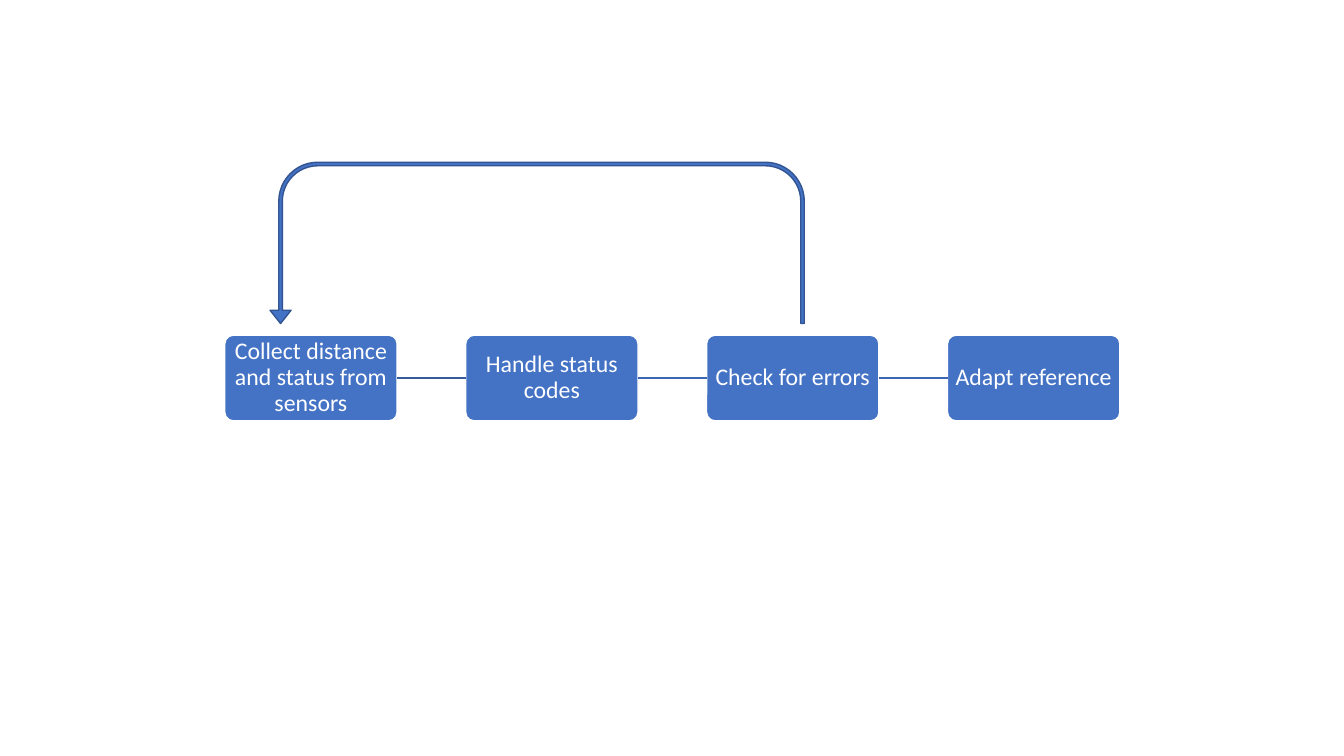
import dataclasses
import typing

import pptx
import pptx.dml.color
import pptx.enum.shapes
import pptx.enum.text
import pptx.oxml.ns
import pptx.oxml.xmlchemy
import pptx.util
from lxml import etree

Pt = pptx.util.Pt
Rgb = pptx.dml.color.RGBColor
Shapes = pptx.enum.shapes.MSO_SHAPE


@dataclasses.dataclass(frozen=True)
class Theme:
    fill: str = "4472C4"
    edge: str = "FFFFFF"
    text: str = "FFFFFF"
    loop_edge: str = "325491"
    font: str = "Calibri"
    size: float = 17
    line: float = 1


@dataclasses.dataclass(frozen=True)
class Block:
    preset: typing.Any
    left: float
    top: float
    width: float
    height: float
    edge: str
    adjustments: tuple[float, ...]
    label: str = ""


THEME = Theme()
STEPS = (
    "Collect distance and status from sensors",
    "Handle status codes",
    "Check for errors",
    "Adapt reference",
)
LINK_COLORS = ("365B9D", "3E67B2", "3E67B2")
STEP_LEFT, STEP_TOP, STEP_WIDTH, STEP_HEIGHT = 160.56, 239.4, 123.12, 61.2
STEP_PITCH = 172.08


def apply_format(target: typing.Any, values: dict[str, typing.Any]) -> None:
    for name, value in values.items():
        setattr(target, name, value)


def draw_block(slide: typing.Any, block: Block) -> typing.Any:
    shape = slide.shapes.add_shape(
        block.preset, Pt(block.left), Pt(block.top), Pt(block.width), Pt(block.height)
    )
    shape.shadow.inherit = False
    for index, value in enumerate(block.adjustments):
        shape.adjustments[index] = value
    shape.fill.solid()
    shape.fill.fore_color.rgb = Rgb.from_string(THEME.fill)
    shape.line.color.rgb = Rgb.from_string(block.edge)
    shape.line.width = Pt(THEME.line)
    if block.label:
        write_label(shape.text_frame, block.label)
    return shape


def write_label(frame: typing.Any, label: str) -> None:
    margins = ("margin_left", "margin_right", "margin_top", "margin_bottom")
    apply_format(frame, dict.fromkeys(margins, Pt(0.72)))
    apply_format(frame, {
        "word_wrap": True,
        "vertical_anchor": pptx.enum.text.MSO_ANCHOR.MIDDLE,
    })
    paragraph = frame.paragraphs[0]
    apply_format(paragraph, {
        "alignment": pptx.enum.text.PP_ALIGN.CENTER,
        "line_spacing": 0.9,
    })
    run = paragraph.add_run()
    run.text = label
    apply_format(run.font, {"name": THEME.font, "size": Pt(THEME.size)})
    run.font.color.rgb = Rgb.from_string(THEME.text)


def draw_link(slide: typing.Any, start: typing.Any, end: typing.Any, color: str) -> None:
    link = slide.shapes.add_connector(
        pptx.enum.shapes.MSO_CONNECTOR.STRAIGHT, 0, 0, 0, 0
    )
    link.begin_connect(start, 3)
    link.end_connect(end, 1)
    link.line.color.rgb = Rgb.from_string(color)
    link.line.width = Pt(THEME.line)
    etree.SubElement(link._element.spPr, pptx.oxml.ns.qn("a:effectLst"))


deck = pptx.Presentation()
apply_format(deck, {"slide_width": Pt(960), "slide_height": Pt(540)})
slide = deck.slides.add_slide(deck.slide_layouts[6])

steps = [
    draw_block(slide, Block(
        Shapes.ROUNDED_RECTANGLE, STEP_LEFT + index * STEP_PITCH, STEP_TOP,
        STEP_WIDTH, STEP_HEIGHT, THEME.edge, (0.1,), label,
    ))
    for index, label in enumerate(STEPS)
]
for start, end, color in zip(steps, steps[1:], LINK_COLORS):
    draw_link(slide, start, end, color)

retry_loop = draw_block(slide, Block(
    Shapes.U_TURN_ARROW, 192.96, 115.92, 381.6, 115.2,
    THEME.loop_edge, (0.022, 0.065, 0.082, 0.242, 1),
))
retry_loop._element.spPr.find(pptx.oxml.ns.qn("a:xfrm")).set("flipH", "1")

deck.save("out.pptx")
